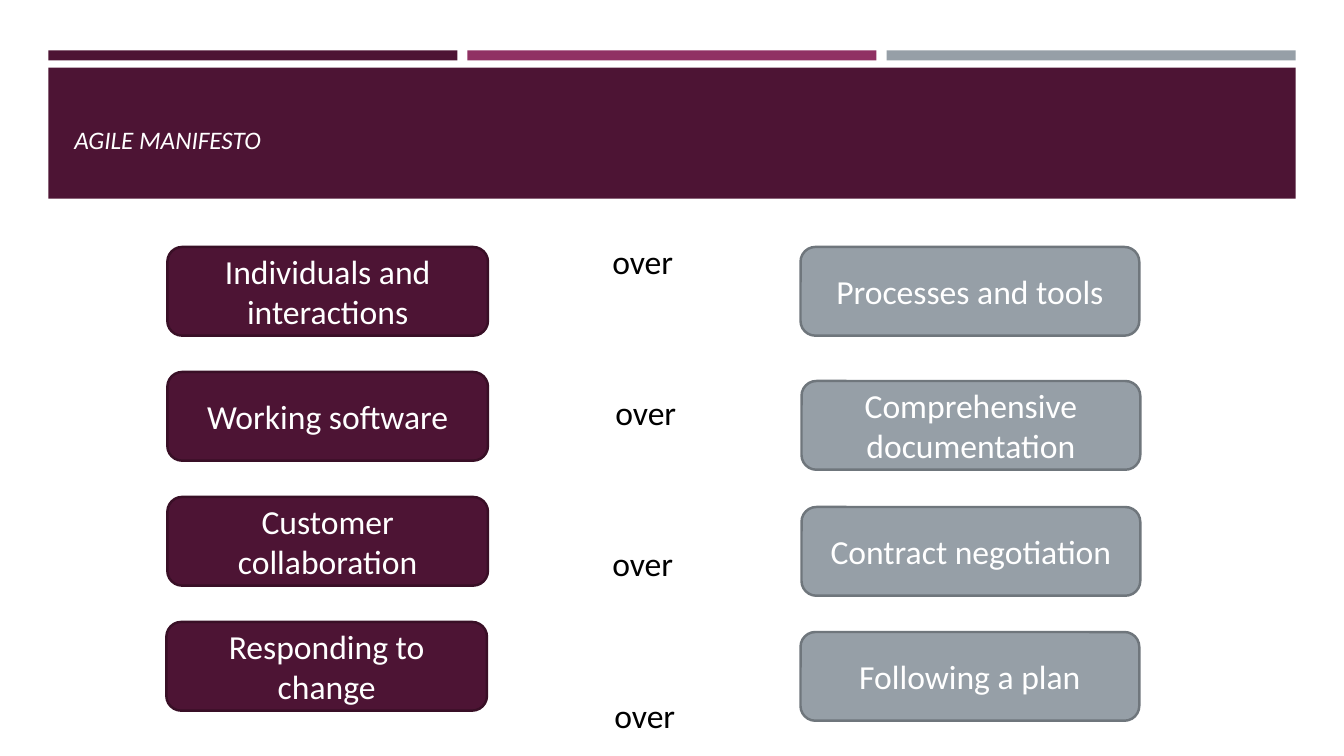
from pptx import Presentation
from pptx.dml.color import RGBColor
from pptx.enum import shapes, text
from pptx.util import Inches, Pt

PLUM = RGBColor(0x4D, 0x14, 0x34)
DARK_PLUM = RGBColor(0x39, 0x0F, 0x26)
MAGENTA = RGBColor(0x90, 0x31, 0x63)
GREY = RGBColor(0x96, 0x9F, 0xA7)
DARK_GREY = RGBColor(0x6F, 0x76, 0x7C)
WHITE = RGBColor(0xFF, 0xFF, 0xFF)
BLACK = RGBColor(0, 0, 0)
FONT = "Calibri"

# Label and offset (x, y) from the top left of the column
VALUES = [
    ("Individuals and interactions", 0.01, 0),
    ("Working software", 0.01, 1.24),
    ("Customer collaboration", 0.01, 2.48),
    ("Responding to change", 0, 3.72),
]
ALTERNATIVES = [
    ("Processes and tools", 0, 0),
    ("Comprehensive documentation", 0.01, 1.33),
    ("Contract negotiation", 0.01, 2.58),
    ("Following a plan", 0, 3.82),
]
OVERS = [("over", 0, 0), ("over", 0.03, 1.5), ("over", 0, 3), ("over", 0.02, 4.5)]


def add_block(slide, kind, box, fill, line=None):
    sp = slide.shapes.add_shape(kind, *map(Inches, box))
    sp.shadow.inherit = False
    sp.fill.solid()
    sp.fill.fore_color.rgb = fill
    if line is None:
        sp.line.fill.background()
    else:
        sp.line.color.rgb = line
        sp.line.width = Pt(1.75)
    return sp


def write(sp, label, size, color, align, anchor, italic=None):
    tf = sp.text_frame
    tf.word_wrap = True
    tf.vertical_anchor = anchor
    tf.text = label
    p = tf.paragraphs[0]
    p.alignment = align
    font = p.runs[0].font
    font.name, font.size, font.italic = FONT, Pt(size), italic
    font.color.rgb = color


def add_header(slide, left, top, width):
    # Three accent bars
    gap = 0.1
    bar = (width - 2 * gap) / 3
    for i, color in enumerate((PLUM, MAGENTA, GREY)):
        add_block(slide, shapes.MSO_SHAPE.RECTANGLE,
                  (left + i * (bar + gap), top, bar, 0.1), color)
    # Title band
    add_block(slide, shapes.MSO_SHAPE.RECTANGLE,
              (left, top + 0.17, width, 1.3), PLUM)
    title = slide.shapes.add_textbox(
        Inches(left + 0.16), Inches(top + 0.27), Inches(width - 0.31), Inches(1.11))
    title.text_frame.margin_bottom = Inches(0.35)
    write(title, "AGILE MANIFESTO", 18, WHITE, text.PP_ALIGN.LEFT,
          text.MSO_ANCHOR.BOTTOM, italic=True)


def add_cards(slide, left, top, width, cards, fill, line):
    for label, dx, dy in cards:
        sp = add_block(slide, shapes.MSO_SHAPE.ROUNDED_RECTANGLE,
                       (left + dx, top + dy, width, 0.88), fill, line)
        write(sp, label, 24, WHITE, text.PP_ALIGN.CENTER, text.MSO_ANCHOR.MIDDLE)


def add_overs(slide, left, top, width):
    for label, dx, dy in OVERS:
        sp = slide.shapes.add_textbox(
            Inches(left + dx), Inches(top + dy), Inches(width), Inches(0.42))
        write(sp, label, 24, BLACK, text.PP_ALIGN.CENTER, text.MSO_ANCHOR.TOP)


def main():
    prs = Presentation()
    prs.slide_width, prs.slide_height = Inches(13.33), Inches(7.5)
    slide = prs.slides.add_slide(prs.slide_layouts[6])
    add_header(slide, 0.48, 0.5, 12.37)
    add_cards(slide, 1.65, 2.45, 3.18, VALUES, PLUM, DARK_PLUM)
    add_cards(slide, 7.94, 2.45, 3.36, ALTERNATIVES, GREY, DARK_GREY)
    add_overs(slide, 5.72, 2.34, 1.31)
    prs.save("out.pptx")


if __name__ == "__main__":
    main()
